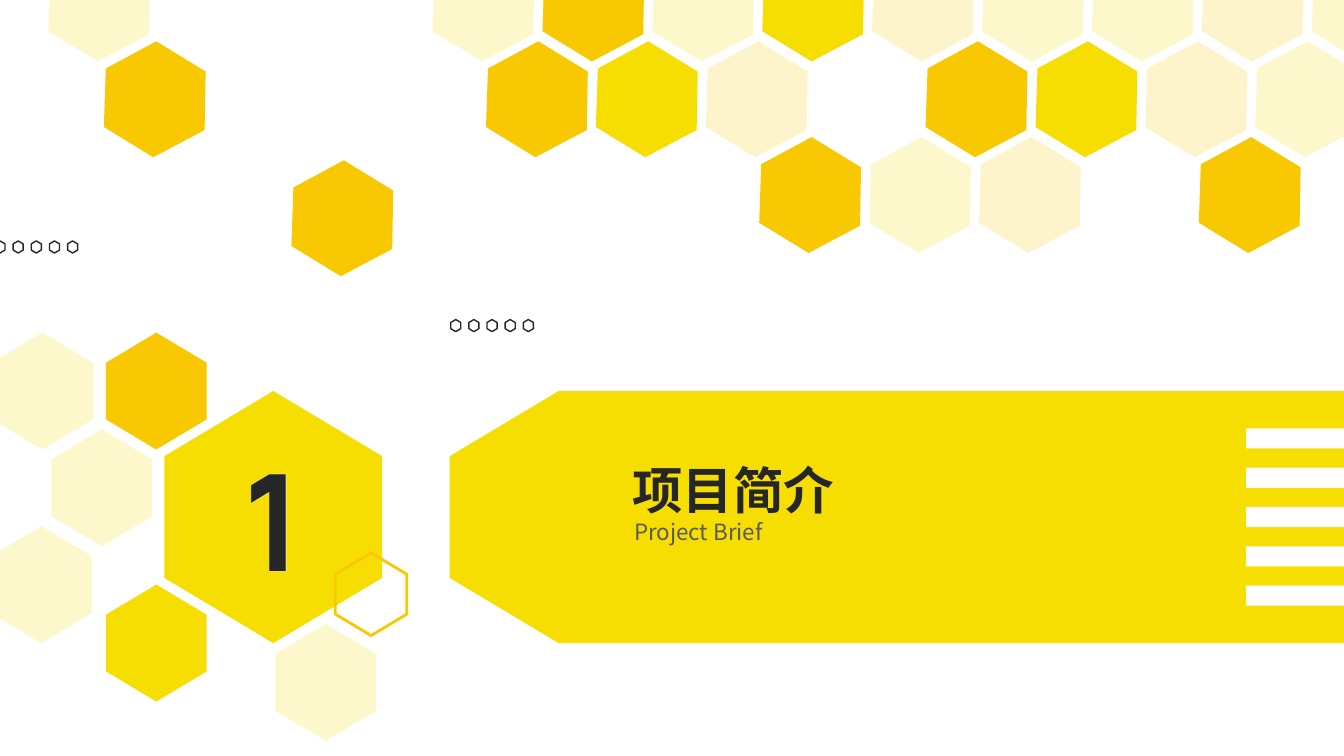
from lxml import etree
from pptx import Presentation
from pptx import util as u
from pptx.dml.color import RGBColor
from pptx.enum import shapes, text
from pptx.oxml import ns

COLORS = {
    "yellow": "F6DE03",
    "amber": "F8C803",
    "white": "FFFFFF",
    "ink": "262626",
    "grey": "595959",
}
LATIN_FONT = "Manrope"
CHINESE_FONT = "Noto Sans CJK SC"
PALE = 20
CELL_STYLES = {
    "A": ("amber", None),
    "Y": ("yellow", None),
    "a": ("amber", PALE),
    "y": ("yellow", PALE),
}
CELL_OUTLINE = [(0.49, 1.15), (0, 0.85), (0.02, 0.27), (0.52, 0), (1.01, 0.3), (1, 0.88)]
CELL_STEP = 1.09
HONEYCOMB_ROWS = [
    (4.29, -0.54, "yAyYayyay"),
    (4.82, 0.41, "AYa.AYay"),
    (5.35, 1.36, "..Aya.A"),
]
SINGLE_CELLS = [(1.03, 0.41, "A"), (0.48, -0.54, "y"), (2.89, 1.59, "A")]
SMALL_HEXAGONS = [
    (0.97, 3.38, "A"),
    (0.97, 5.88, "Y"),
    (0.43, 4.34, "y"),
    (-0.16, 3.38, "y"),
    (-0.17, 5.3, "y"),
    (2.65, 6.27, "y"),
]


def rgb(name):
    return RGBColor.from_string(COLORS[name])


def paint(shape, fill=None, alpha=None, line=None, weight=1):
    shape.shadow.inherit = False
    if fill:
        shape.fill.solid()
        shape.fill.fore_color.rgb = rgb(fill)
        if alpha:
            tint = shape.element.spPr.find(".//" + ns.qn("a:srgbClr"))
            etree.SubElement(tint, ns.qn("a:alpha"), val=str(alpha * 1000))
    else:
        shape.fill.background()
    if line:
        shape.line.color.rgb = rgb(line)
        shape.line.width = u.Pt(weight)
    else:
        shape.line.fill.background()


def add_bar(page, left, top, width, height, fill):
    bar = page.shapes.add_shape(
        shapes.MSO_SHAPE.RECTANGLE,
        u.Inches(left), u.Inches(top), u.Inches(width), u.Inches(height),
    )
    paint(bar, fill)


def add_hexagon(page, left, top, width, height, **look):
    hexagon = page.shapes.add_shape(
        shapes.MSO_SHAPE.HEXAGON,
        u.Inches(left), u.Inches(top), u.Inches(width), u.Inches(height),
    )
    hexagon.adjustments[0] = 0.299
    hexagon.rotation = 90
    paint(hexagon, **look)


def add_hexagon_row(page, left, top):
    for index in range(5):
        add_hexagon(page, left + 0.18 * index, top, 0.12, 0.1, line="ink")


def add_cell(page, left, top, style):
    points = [(u.Inches(left + x), u.Inches(top + y)) for x, y in CELL_OUTLINE]
    builder = page.shapes.build_freeform(*points[0])
    builder.add_line_segments(points[1:], close=True)
    fill, alpha = CELL_STYLES[style]
    paint(builder.convert_to_shape(), fill, alpha)


def add_honeycomb(page):
    for left, top, styles in HONEYCOMB_ROWS:
        for column, style in enumerate(styles):
            if style in CELL_STYLES:
                add_cell(page, left + CELL_STEP * column, top, style)
    for left, top, style in SINGLE_CELLS:
        add_cell(page, left, top, style)


def write(box, content, size, color, font, bold=False, align=text.PP_ALIGN.LEFT,
          anchor=text.MSO_ANCHOR.TOP, outline=None):
    frame = box.text_frame
    frame.word_wrap = True
    frame.auto_size = text.MSO_AUTO_SIZE.NONE
    frame.vertical_anchor = anchor
    para = frame.paragraphs[0]
    para.alignment = align
    para.space_before = u.Pt(0)
    span = para.add_run()
    span.text = content
    span.font.size = u.Pt(size)
    span.font.bold = bold
    span.font.name = font
    span.font.color.rgb = rgb(color)
    props = span.font._element
    props.find(ns.qn("a:latin")).addnext(
        etree.Element(ns.qn("a:ea"), typeface=font))
    if outline:
        edge = etree.Element(ns.qn("a:ln"), w=str(int(u.Pt(outline))))
        fill = etree.SubElement(edge, ns.qn("a:solidFill"))
        etree.SubElement(fill, ns.qn("a:srgbClr"), val=COLORS[color])
        props.insert(0, edge)


def add_number(page, top, color, outline=None):
    box = page.shapes.add_textbox(
        u.Inches(1.75), u.Inches(top), u.Inches(1.91), u.Inches(1.72))
    write(box, "1", size=96, color=color, font=LATIN_FONT, bold=True,
          align=text.PP_ALIGN.CENTER, anchor=text.MSO_ANCHOR.MIDDLE, outline=outline)


def place_on_top(box, left, top, width, height):
    box.left, box.top = u.Inches(left), u.Inches(top)
    box.width, box.height = u.Inches(width), u.Inches(height)
    box.element.getparent().append(box.element)


def main():
    deck = Presentation()
    deck.slide_width, deck.slide_height = u.Inches(13.33), u.Inches(7.5)
    page = deck.slides.add_slide(deck.slide_layouts[0])

    add_bar(page, 5.54, 3.88, 7.79, 2.5, "yellow")
    add_hexagon(page, 4.29, 4.05, 2.5, 2.16, fill="yellow")
    for index in range(5):
        add_bar(page, 12.36, 4.25 + 0.39 * index, 0.98, 0.2, "white")

    add_hexagon(page, 1.46, 4.05, 2.5, 2.16, fill="yellow")
    add_number(page, 4.27, "white", outline=6)
    add_number(page, 4.28, "ink")
    for left, top, style in SMALL_HEXAGONS:
        fill, alpha = CELL_STYLES[style]
        add_hexagon(page, left, top, 1.16, 1, fill=fill, alpha=alpha)
    add_hexagon(page, 3.27, 5.54, 0.82, 0.71, line="amber", weight=2)

    add_honeycomb(page)
    add_hexagon_row(page, 4.46, 3.18)
    add_hexagon_row(page, -0.06, 2.4)

    title, subtitle = page.shapes.title, page.placeholders[1]
    place_on_top(title, 6.17, 4.5, 4.66, 0.71)
    write(title, "项目简介", size=36, color="ink", font=CHINESE_FONT, bold=True)
    place_on_top(subtitle, 6.19, 5.09, 4.02, 0.37)
    write(subtitle, "Project Brief", size=16, color="grey", font=CHINESE_FONT)

    deck.save("out.pptx")


if __name__ == "__main__":
    main()
